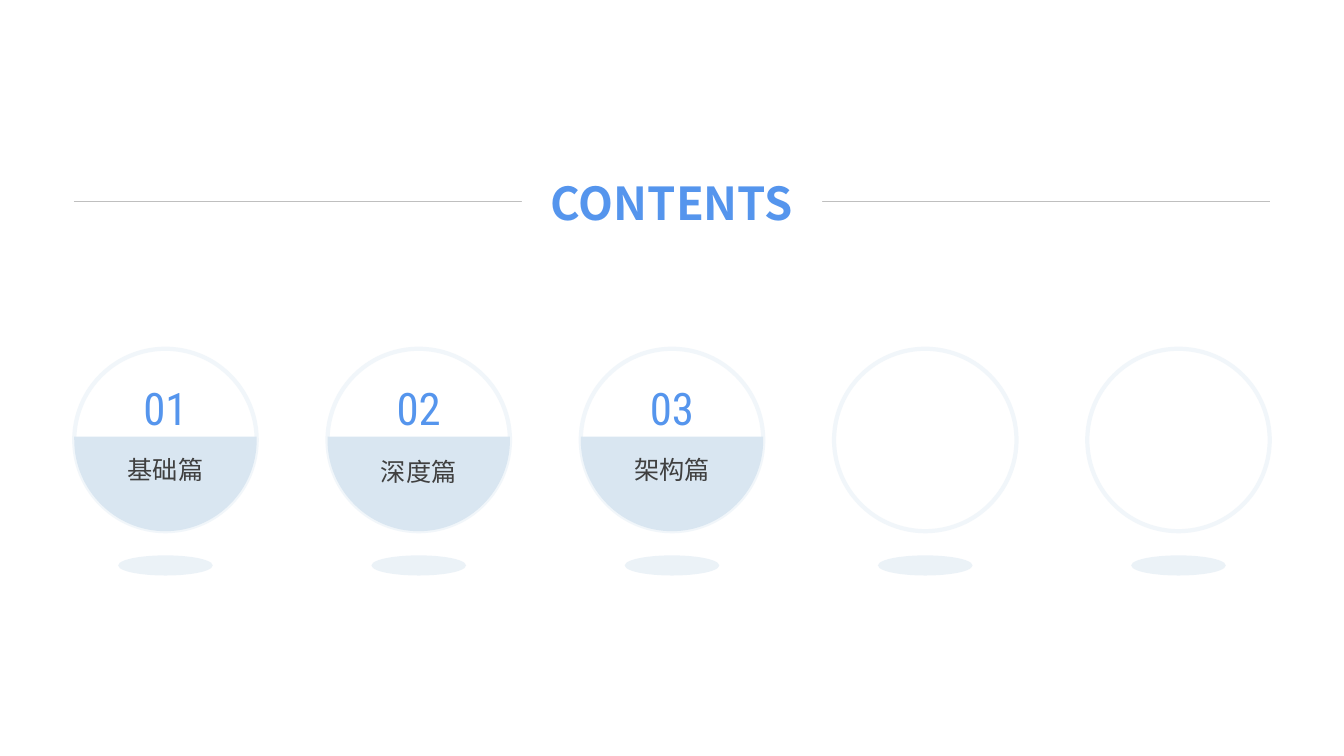
import pptx
import pptx.dml.color
import pptx.enum.shapes
import pptx.enum.text
import pptx.oxml
import pptx.oxml.ns
import pptx.util

Pt = pptx.util.Pt
RGBColor = pptx.dml.color.RGBColor
Shape = pptx.enum.shapes.MSO_SHAPE
Anchor = pptx.enum.text.MSO_ANCHOR
qn = pptx.oxml.ns.qn
DRAWING_NS = pptx.oxml.ns.nsdecls("a")

BLUE = RGBColor(0x55, 0x95, 0xED)
PALE = RGBColor(0xD9, 0xE6, 0xF1)
GREY = RGBColor(0xBF, 0xBF, 0xBF)
DARK = RGBColor(0x40, 0x40, 0x40)
WHITE = RGBColor(0xFF, 0xFF, 0xFF)
CJK_FONT = "Noto Sans CJK SC"
NUMBER_FONT = "Roboto Condensed"


def write(shape, text, *, size, font, color, bold=False, anchor=Anchor.TOP):
    frame = shape.text_frame
    frame.word_wrap = True
    frame.auto_size = pptx.enum.text.MSO_AUTO_SIZE.NONE
    frame.vertical_anchor = anchor
    paragraph = frame.paragraphs[0]
    paragraph.alignment = pptx.enum.text.PP_ALIGN.CENTER
    run = paragraph.add_run()
    run.text = text
    run.font.size = Pt(size)
    run.font.name = font
    run.font.bold = bold
    run.font.color.rgb = color
    east_asian = pptx.oxml.parse_xml(f'<a:ea {DRAWING_NS} typeface="{font}"/>')
    run.font._element.find(qn("a:latin")).addnext(east_asian)


def set_opacity(color_parent, percent):
    color = color_parent.find(".//" + qn("a:srgbClr"))
    color.append(pptx.oxml.parse_xml(f'<a:alpha {DRAWING_NS} val="{percent * 1000}"/>'))


presentation = pptx.Presentation()
presentation.slide_width = Pt(960)
presentation.slide_height = Pt(540)
slide = presentation.slides.add_slide(presentation.slide_layouts[5])

# Heading on a white box that interrupts the rule
heading = slide.shapes.title
heading.left, heading.top, heading.width, heading.height = (
    Pt(372.7), Pt(118.8), Pt(214.6), Pt(51.1))
heading.fill.solid()
heading.fill.fore_color.rgb = WHITE
write(heading, "CONTENTS", size=32.4, font=CJK_FONT, color=BLUE, bold=True,
      anchor=Anchor.MIDDLE)

rule = slide.shapes.add_connector(
    pptx.enum.shapes.MSO_CONNECTOR.STRAIGHT, Pt(52.8), Pt(144), Pt(907.2), Pt(144))
rule.line.color.rgb = GREY
rule.line.width = Pt(0.5)
rule.element.spPr.append(pptx.oxml.parse_xml(f'<a:effectLst {DRAWING_NS}/>'))
heading.element.addprevious(rule.element)

# Row of five chapter circles, the last two empty
DIAMETER = 130.3
RADIUS = DIAMETER / 2
CIRCLE_TOP = 249.1
CENTER_Y = CIRCLE_TOP + RADIUS
BOTTOM = CIRCLE_TOP + DIAMETER
CHORD_Y = 311.8
HANDLE = RADIUS * 0.55  # Bezier handle of a quarter circle
FIRST_CENTER = 118.2
PITCH = 180.9
CIRCLES = 5
chapters = [("01", "基础篇", 321.1), ("02", "深度篇", 322.6), ("03", "架构篇", 321.1)]

for index in range(CIRCLES):
    center_x = FIRST_CENTER + index * PITCH
    left, right = center_x - RADIUS, center_x + RADIUS

    ring = slide.shapes.add_shape(
        Shape.OVAL, Pt(left), Pt(CIRCLE_TOP), Pt(DIAMETER), Pt(DIAMETER))
    ring.shadow.inherit = False
    ring.fill.background()
    ring.line.color.rgb = PALE
    ring.line.width = Pt(3)
    set_opacity(ring.line._ln, 35)

    # Number and filled lower part
    if index < len(chapters):
        write(ring, chapters[index][0], size=32, font=NUMBER_FONT, color=BLUE)

        corners = [(right, CHORD_Y), (right, CENTER_Y)]
        right_arc = [(right, CENTER_Y + HANDLE), (center_x + HANDLE, BOTTOM),
                     (center_x, BOTTOM)]
        left_arc = [(center_x - HANDLE, BOTTOM), (left, CENTER_Y + HANDLE),
                    (left, CENTER_Y)]
        outline = slide.shapes.build_freeform(Pt(left), Pt(CHORD_Y))
        outline.add_line_segments(
            [(Pt(x), Pt(y)) for x, y in corners + right_arc + left_arc], close=True)
        bowl = outline.convert_to_shape()
        bowl.shadow.inherit = False
        bowl.fill.solid()
        bowl.fill.fore_color.rgb = PALE
        bowl.line.fill.background()

        # Join the three points of each arc into one curve
        segments = list(bowl.element.iter(qn("a:lnTo")))
        for arc in (segments[2:5], segments[5:8]):
            curve = pptx.oxml.parse_xml(f'<a:cubicBezTo {DRAWING_NS}/>')
            arc[0].addprevious(curve)
            for segment in arc:
                curve.append(segment[0])
                segment.getparent().remove(segment)

    # Ground shadow
    ground = slide.shapes.add_shape(
        Shape.OVAL, Pt(center_x - 33.8), Pt(396.7), Pt(67.6), Pt(14.4))
    ground.shadow.inherit = False
    ground.fill.solid()
    ground.fill.fore_color.rgb = PALE
    set_opacity(ground.element.spPr, 50)
    ground.line.fill.background()

# Chapter names
for index, (number, name, name_top) in enumerate(chapters):
    center_x = FIRST_CENTER + index * PITCH
    label = slide.shapes.add_textbox(
        Pt(center_x - 53.3), Pt(name_top), Pt(106.6), Pt(36.7))
    write(label, name, size=18, font=CJK_FONT, color=DARK)

presentation.save("out.pptx")
